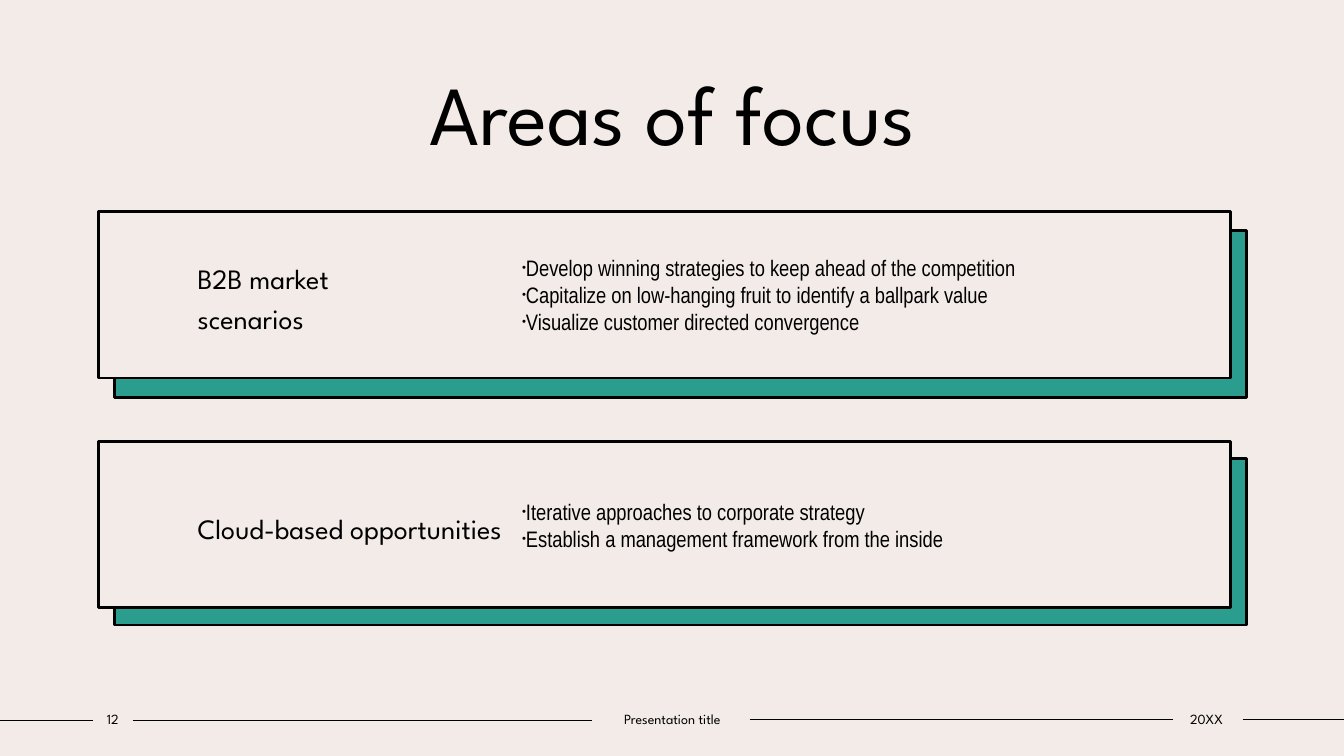
import pptx
import pptx.util
import pptx.dml.color
import pptx.enum.shapes
import pptx.enum.text
import pptx.oxml.ns
import lxml.etree

Pt = pptx.util.Pt
ANCHOR = pptx.enum.text.MSO_ANCHOR
ALIGN = pptx.enum.text.PP_ALIGN

TITLE = "Areas of focus"
# label lines, points, top of the panel, top of its backing
FOCUS_AREAS = [
    (["B2B market ", "scenarios"],
     ["Develop winning strategies to keep ahead of the competition",
      "Capitalize on low-hanging fruit to identify a ballpark value",
      "Visualize customer directed convergence"],
     151.2, 164.9),
    (["Cloud-based opportunities"],
     ["Iterative approaches to corporate strategy",
      "Establish a management framework from the inside"],
     315.4, 327.6),
]
# text, left, width
FOOTER = [("12", 66.2, 28.8), ("Presentation title", 422.6, 115.2), ("20XX", 836.6, 50.4)]
# start, end, height on the slide
FOOTER_RULES = [(0, 66.2, 514.8), (95, 422.6, 514.8),
                (535.7, 838.1, 514.1), (887.8, 960, 514.1)]

COLORS = {"paper": "F3EBE8", "teal": "2A9D8F", "ink": "000000"}
HEADING_FONT, BODY_FONT = "League Spartan", "Arial Narrow"
PANEL_LEFT, BACKING_LEFT = 70.6, 82.1
PANEL_WIDTH, PANEL_HEIGHT = 808.6, 118.8
POINTS_LEFT, POINTS_WIDTH, POINTS_INSET = 365.8, 504.7, 7.2


def color(name):
    return pptx.dml.color.RGBColor.from_string(COLORS[name])


def add_element(parent, tag, **attributes):
    lxml.etree.SubElement(parent, pptx.oxml.ns.qn(tag), attributes)


def add_run(paragraph, text, size, font):
    run = paragraph.add_run()
    run.text = text
    run.font.size = Pt(size)
    run.font.name = font
    run.font.color.rgb = color("ink")


def set_frame(shape, anchor, left=7.2, right=7.2):
    frame = shape.text_frame
    frame.word_wrap = True
    frame.vertical_anchor = anchor
    frame.margin_left, frame.margin_right = Pt(left), Pt(right)
    frame.margin_top = frame.margin_bottom = Pt(3.6)
    return frame


def add_text_box(left, top, width, height, anchor, inset=7.2):
    box = slide.shapes.add_textbox(Pt(left), Pt(top), Pt(width), Pt(height))
    return set_frame(box, anchor, inset, inset)


def add_panel(left, top, fill):
    panel = slide.shapes.add_shape(pptx.enum.shapes.MSO_SHAPE.RECTANGLE,
                                   Pt(left), Pt(top), Pt(PANEL_WIDTH), Pt(PANEL_HEIGHT))
    panel.shadow.inherit = False
    panel.fill.solid()
    panel.fill.fore_color.rgb = color(fill)
    panel.line.color.rgb = color("ink")
    panel.line.width = Pt(2)
    return panel


def add_rule(start, end, y):
    rule = slide.shapes.add_connector(pptx.enum.shapes.MSO_CONNECTOR.STRAIGHT,
                                      Pt(start), Pt(y), Pt(end), Pt(y))
    rule.line.color.rgb = color("ink")
    rule.line.width = Pt(1)
    add_element(rule._element.spPr, "a:effectLst")


def add_bullet(paragraph):
    """Half-size bullet hanging to the left of the text edge."""
    properties = paragraph._p.get_or_add_pPr()
    properties.set("marL", "0")
    properties.set("indent", str(-Pt(10.8)))
    add_element(properties, "a:buSzPct", val="50000")
    add_element(properties, "a:buFont", typeface="Arial")
    add_element(properties, "a:buChar", char="•")


def add_label(panel, lines):
    frame = set_frame(panel, ANCHOR.MIDDLE, 70.6, 511.2)
    paragraph = frame.paragraphs[0]
    paragraph.alignment = ALIGN.LEFT
    paragraph.line_spacing = 1.2
    for index, line in enumerate(lines):
        if index:
            paragraph.add_line_break()
        add_run(paragraph, line, 20, HEADING_FONT)


def add_points(points, panel_top):
    frame = add_text_box(POINTS_LEFT, panel_top + POINTS_INSET, POINTS_WIDTH,
                         PANEL_HEIGHT - 2 * POINTS_INSET, ANCHOR.MIDDLE)
    for index, point in enumerate(points):
        paragraph = frame.add_paragraph() if index else frame.paragraphs[0]
        add_bullet(paragraph)
        add_run(paragraph, point, 16, BODY_FONT)


def add_centered(frame, text, size):
    paragraph = frame.paragraphs[0]
    paragraph.alignment = ALIGN.CENTER
    add_run(paragraph, text, size, HEADING_FONT)


deck = pptx.Presentation()
deck.slide_width, deck.slide_height = Pt(960), Pt(540)
slide = deck.slides.add_slide(deck.slide_layouts[6])
slide.background.fill.solid()
slide.background.fill.fore_color.rgb = color("paper")

for start, end, y in FOOTER_RULES:
    add_rule(start, end, y)

add_centered(add_text_box(90, 40.3, 780.5, 79.9, ANCHOR.TOP), TITLE, 60)

for label, points, panel_top, backing_top in FOCUS_AREAS:
    add_panel(BACKING_LEFT, backing_top, "teal")
    add_label(add_panel(PANEL_LEFT, panel_top, "paper"), label)
    add_points(points, panel_top)

for text, left, width in FOOTER:
    add_centered(add_text_box(left, 504, width, 19.4, ANCHOR.MIDDLE, 0), text, 10)

deck.save("out.pptx")
